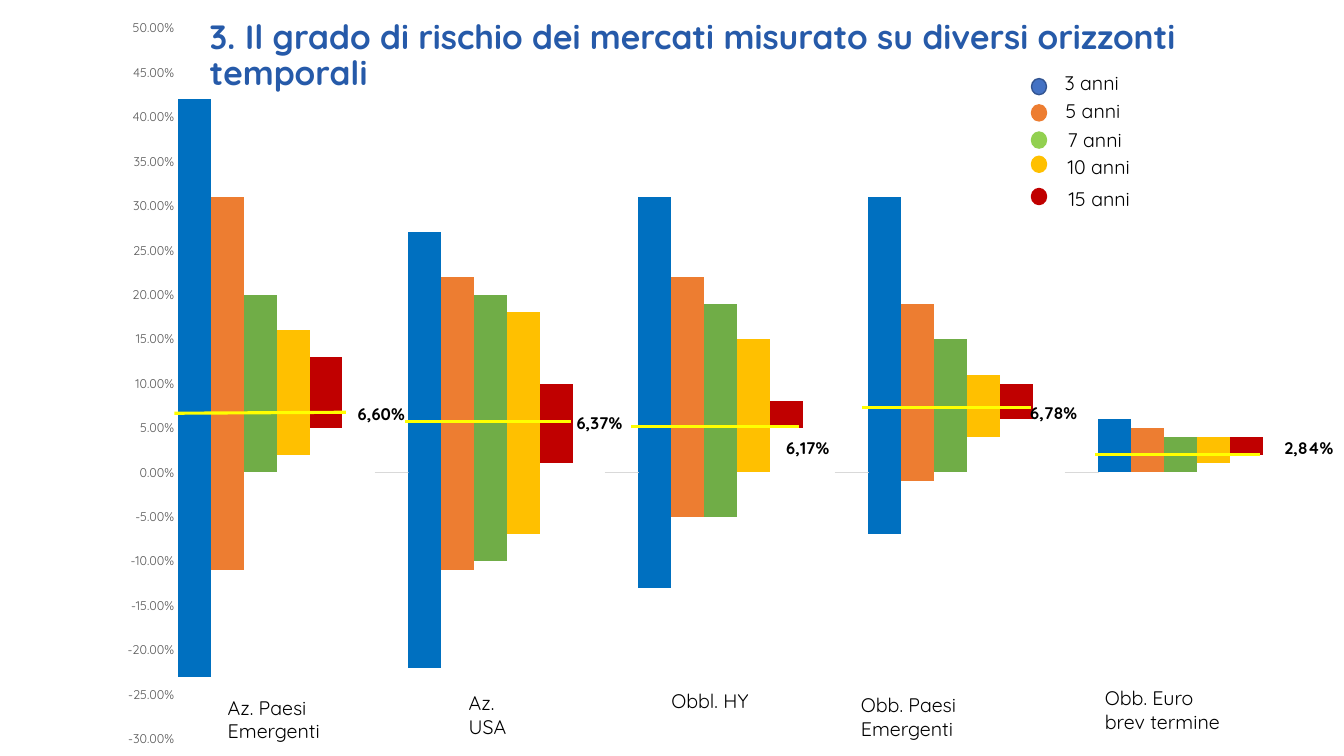
from lxml.etree import SubElement
from pptx import Presentation
from pptx.chart.data import CategoryChartData
from pptx.dml.color import RGBColor
from pptx.enum.chart import XL_CHART_TYPE, XL_TICK_MARK
from pptx.enum.shapes import MSO_CONNECTOR, MSO_SHAPE
from pptx.enum.text import MSO_ANCHOR, MSO_AUTO_SIZE, PP_ALIGN
from pptx.oxml.ns import qn
from pptx.util import Inches, Pt

FONT = "Quicksand"
BAR_COLORS = ["0070C0", "ED7D31", "70AD47", "FFC000", "C00000"]
GROUP_STEP = 7
HIDDEN_BASE = (2, 3)

RANGES = [
    [(-23, 42), (-11, 31), (0, 20), (2, 16), (5, 13)],
    [(-22, 27), (-11, 22), (-10, 20), (-7, 18), (1, 10)],
    [(-13, 31), (-5, 22), (-5, 19), (-1, 15), (5, 8)],
    [(-7, 31), (-1, 19), (0, 15), (4, 11), (6, 10)],
    [(0, 6), (0, 5), (0, 4), (1, 4), (2, 4)],
]
MARKETS = [
    ("Az. Paesi Emergenti", 2.16, 6.85, 1.29),
    ("Az. USA", 4.55, 6.81, 0.78),
    ("Obbl. HY", 6.56, 6.79, 0.98),
    ("Obb. Paesi Emergenti", 8.44, 6.83, 1.23),
    ("Obb. Euro brev termine", 10.86, 6.76, 1.42),
]
MEAN_LINES = [
    (1.73, 4.1, 3.43, 4.09),
    (4.02, 4.18, 5.66, 4.18),
    (6.26, 4.23, 7.92, 4.23),
    (8.55, 4.04, 10.23, 4.04),
    (10.86, 4.51, 12.5, 4.51),
]
MEANS = [
    ("6,60%", 3.45, 3.96, 0.76),
    ("6,37%", 5.62, 4.05, 0.76),
    ("6,17%", 7.7, 4.29, 0.76),
    ("6,78%", 10.12, 3.95, 0.7),
    ("2,84%", 12.64, 4.29, 0.76),
]
HORIZONS = [
    ("3 anni", 0.78, "4472C4", "325491", 10.46, 0.65),
    ("5 anni", 1.04, "ED7D31", "ED7D31", 10.47, 0.93),
    ("7 anni", 1.31, "92D050", "92D050", 10.49, 1.22),
    ("10 anni", 1.55, "FFC000", "FFC000", 10.49, 1.49),
    ("15 anni", 1.87, "C00000", "C00000", 10.5, 1.81),
]


def paint(color_format, color):
    """Set a font, fill or line colour from a hex string."""
    color_format.rgb = RGBColor.from_string(color)


def fill_solid(fill, color):
    """Give a fill one solid colour."""
    fill.solid()
    paint(fill.fore_color, color)


def add_run(paragraph, words, size, color="000000", bold=False):
    """Append one formatted run."""
    run = paragraph.add_run()
    run.text = words
    run.font.name = FONT
    run.font.size = Pt(size)
    run.font.bold = bold
    paint(run.font.color, color)


def add_label(slide, words, left, top, width, height, size, bold=False):
    """Add a wrapping text label."""
    label = slide.shapes.add_textbox(
        Inches(left), Inches(top), Inches(width), Inches(height))
    frame = label.text_frame
    frame.word_wrap = True
    frame.auto_size = MSO_AUTO_SIZE.SHAPE_TO_FIT_TEXT
    add_run(frame.paragraphs[0], words, size, bold=bold)


def add_mean_line(slide, x1, y1, x2, y2):
    """Draw the yellow mean across one market's bars."""
    mean = slide.shapes.add_connector(
        MSO_CONNECTOR.STRAIGHT, Inches(x1), Inches(y1), Inches(x2), Inches(y2))
    paint(mean.line.color, "FFFF00")
    mean.line.width = Pt(2.25)
    SubElement(mean._element.spPr, qn("a:effectLst"))


def add_dot(slide, top, color, border):
    """Add one legend dot."""
    dot = slide.shapes.add_shape(
        MSO_SHAPE.OVAL, Inches(10.23), Inches(top), Inches(0.15), Inches(0.16))
    dot.shadow.inherit = False
    fill_solid(dot.fill, color)
    paint(dot.line.color, border)
    dot.line.width = Pt(1)


def set_plot_area(chart, x, y, width, height):
    """Fix the inner plot area as fractions of the chart."""
    plot_area = chart._chartSpace.chart.plotArea
    layout = plot_area.find(qn("c:layout"))
    if layout is None:
        layout = SubElement(plot_area, qn("c:layout"))
        plot_area.insert(0, layout)
    manual = SubElement(layout, qn("c:manualLayout"))
    settings = [("layoutTarget", "inner"), ("xMode", "edge"), ("yMode", "edge"),
                ("x", x), ("y", y), ("w", width), ("h", height)]
    for tag, value in settings:
        SubElement(manual, qn(f"c:{tag}")).set("val", str(value))


def stacked_values():
    """Turn the percent ranges into base and upper values with gaps between markets."""
    bases, uppers = [], []
    for market in RANGES:
        if bases:
            bases += [None, 0]
            uppers += [None, 0]
        for low, high in market:
            bases.append(low / 100)
            uppers.append((high - max(low, 0)) / 100)
    return bases, uppers


def format_bars(base, upper):
    """Colour the bars by horizon and hide the bases above zero."""
    for group, market in enumerate(RANGES):
        start = group * GROUP_STEP
        for offset, (low, _) in enumerate(market):
            color = BAR_COLORS[offset]
            fill_solid(upper.points[start + offset].format.fill, color)
            base_fill = base.points[start + offset].format.fill
            if low < 0 and (group, offset) != HIDDEN_BASE:
                fill_solid(base_fill, color)
            else:
                base_fill.background()
        if group:
            zero_mark = upper.points[start - 1].format
            zero_mark.fill.background()
            paint(zero_mark.line.color, "D9D9D9")
            zero_mark.line.width = Pt(0.75)


def add_risk_chart(slide):
    """Add the floating columns of returns by market and horizon."""
    bases, uppers = stacked_values()
    data = CategoryChartData(number_format="0.00%")
    data.categories = [str(number + 1) for number in range(len(bases))]
    data.add_series("Series 1", bases)
    data.add_series("Series 2", uppers)
    chart = slide.shapes.add_chart(
        XL_CHART_TYPE.COLUMN_STACKED, Inches(1.11), Inches(0.14),
        Inches(11.53), Inches(7.36), data).chart
    chart.has_legend = False
    chart.has_title = False
    chart.font.name = "Calibri"
    chart.font.size = Pt(10)
    paint(chart.font.color, "000000")
    chart.category_axis.visible = False
    returns = chart.value_axis
    returns.minimum_scale, returns.maximum_scale = -0.3, 0.5
    returns.major_unit = 0.05
    returns.has_major_gridlines = False
    returns.major_tick_mark = XL_TICK_MARK.NONE
    returns.format.line.fill.background()
    returns.tick_labels.number_format = "0.00%"
    returns.tick_labels.number_format_is_linked = False
    returns.tick_labels.font.name = FONT
    returns.tick_labels.font.size = Pt(9)
    paint(returns.tick_labels.font.color, "595959")
    columns = chart.plots[0]
    columns.gap_width, columns.overlap = 0, 100
    columns.vary_by_categories = False
    base, upper = columns.series
    fill_solid(base.format.fill, "ED7D31")
    fill_solid(upper.format.fill, "0070C0")
    format_bars(base, upper)
    set_plot_area(chart, 0.057, 0.019, 0.933, 0.958)


def add_heading(slide, words):
    """Place and format the slide title."""
    heading = slide.shapes.title
    heading.left, heading.top = Inches(1.98), Inches(0.15)
    heading.width, heading.height = Inches(11.33), Inches(0.7)
    frame = heading.text_frame
    frame.word_wrap = True
    frame.auto_size = MSO_AUTO_SIZE.NONE
    frame.vertical_anchor = MSO_ANCHOR.TOP
    paragraph = frame.paragraphs[0]
    paragraph.alignment = PP_ALIGN.LEFT
    paragraph.line_spacing = 0.9
    add_run(paragraph, words, 24, "265AA9", True)


def main():
    """Build and save the slide."""
    deck = Presentation()
    deck.slide_width, deck.slide_height = Inches(13.33), Inches(7.5)
    slide = deck.slides.add_slide(deck.slide_layouts[5])
    add_risk_chart(slide)
    add_heading(slide, "3. Il grado di rischio dei mercati misurato su diversi orizzonti temporali")
    for market, left, top, width in MARKETS:
        add_label(slide, market, left, top, width, 0.57, 14)
    for ends in MEAN_LINES:
        add_mean_line(slide, *ends)
    for mean, left, top, width in MEANS:
        add_label(slide, mean, left, top, width, 0.3, 12, True)
    for horizon, dot_top, color, border, left, top in HORIZONS:
        add_dot(slide, dot_top, color, border)
        add_label(slide, horizon, left, top, 0.91, 0.34, 14)
    deck.save("out.pptx")


if __name__ == "__main__":
    main()
